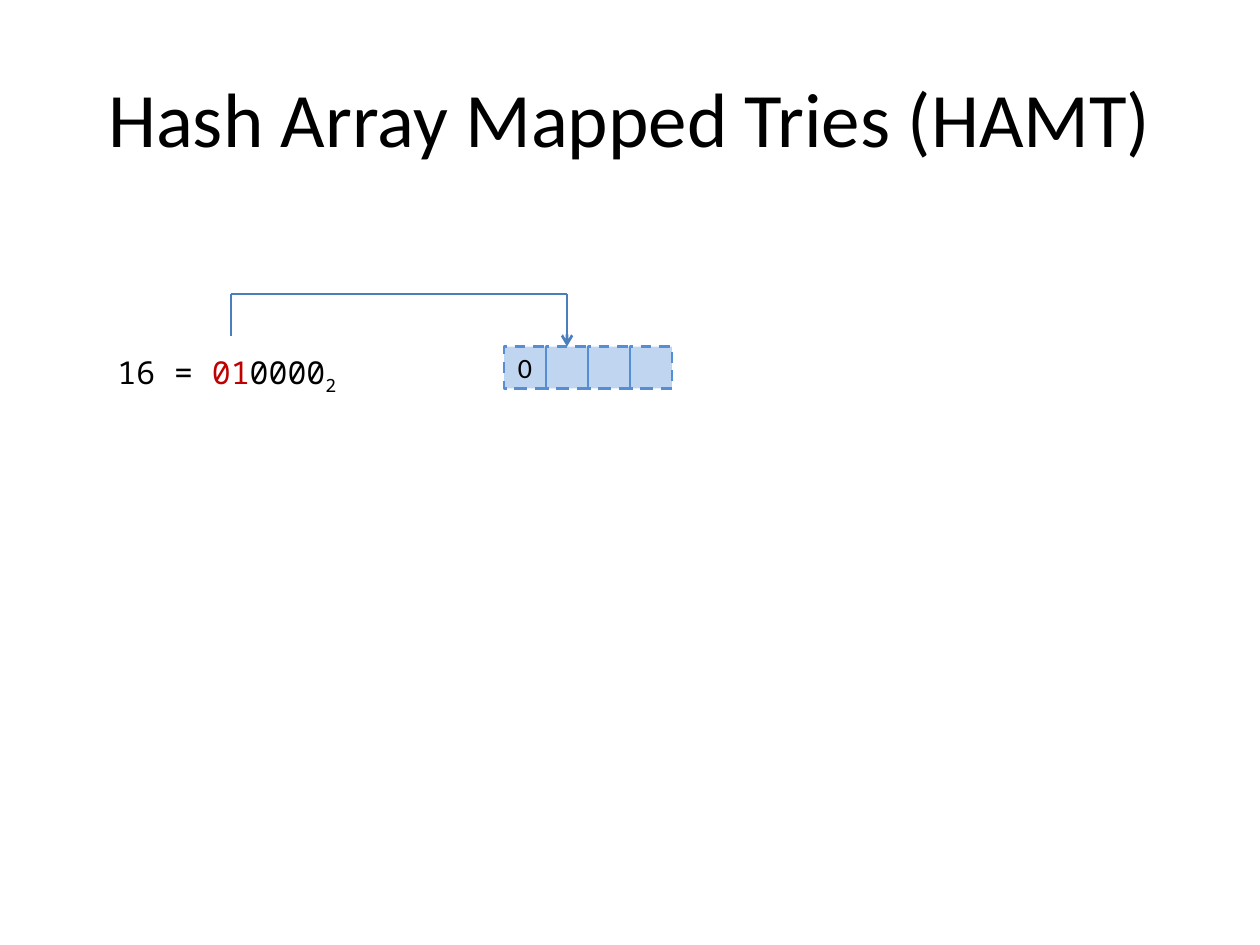
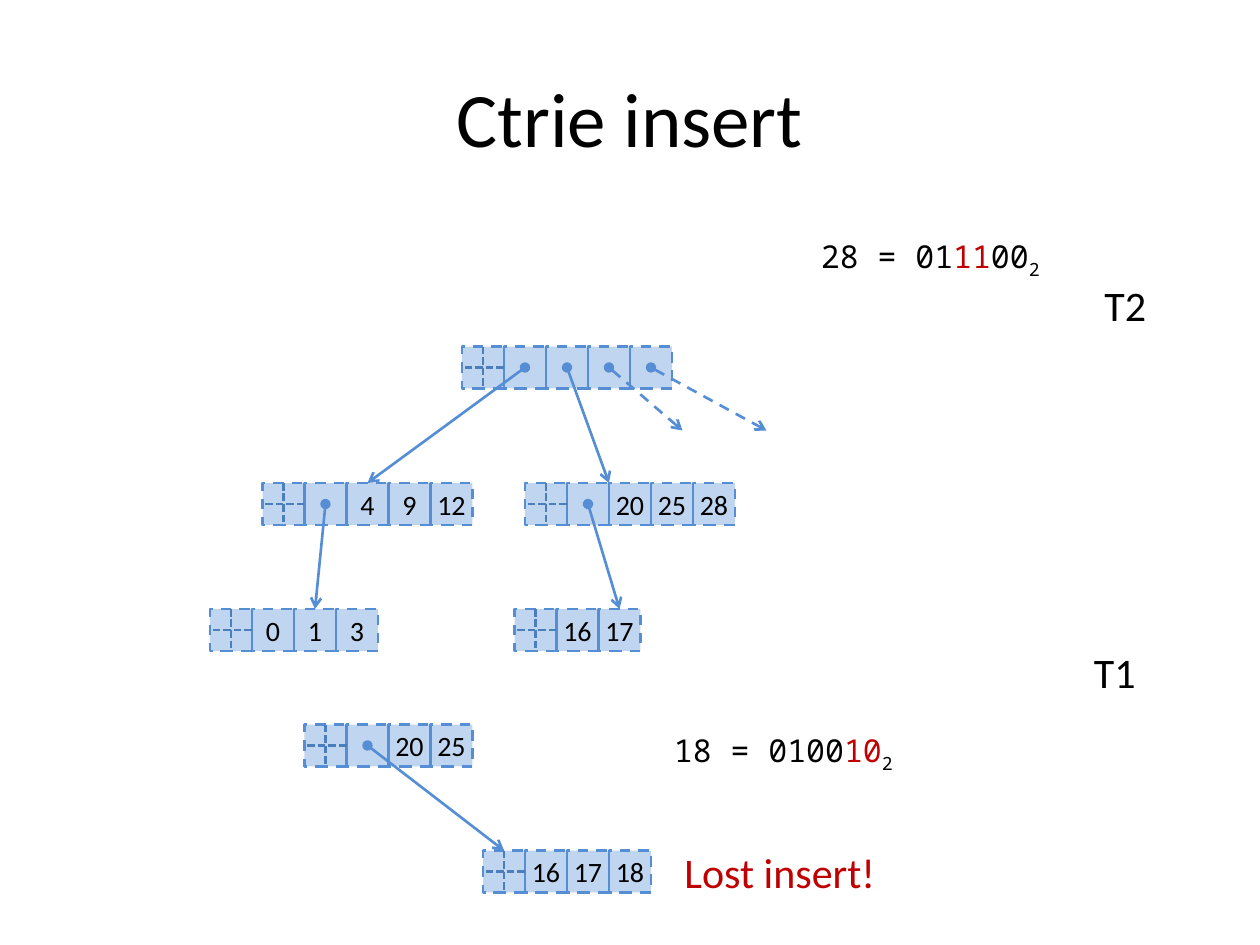
from dataclasses import dataclass
from itertools import pairwise

from lxml.etree import SubElement
from pptx import Presentation
from pptx.dml.color import RGBColor
from pptx.enum.dml import MSO_LINE
from pptx.enum.shapes import MSO_CONNECTOR, MSO_SHAPE
from pptx.enum.text import MSO_ANCHOR, MSO_AUTO_SIZE, PP_ALIGN
from pptx.oxml.ns import qn
from pptx.util import Cm, Pt


@dataclass(frozen=True)
class Theme:
    ink: RGBColor = RGBColor.from_string("000000")
    accent: RGBColor = RGBColor.from_string("C00000")
    cell: RGBColor = RGBColor.from_string("558ED5")
    guide: RGBColor = RGBColor.from_string("4B7EBC")
    cell_alpha: int = 37000
    subscript: int = -25000
    body_font: str = "Calibri"
    code_font: str = "Noto Sans Mono"
    title_size: Pt = Pt(44)
    note_size: Pt = Pt(24)
    code_size: Pt = Pt(18)
    cell_size: Pt = Pt(16)
    stroke: Pt = Pt(1.5)


THEME = Theme()
CELL = Cm(2.54) / 3  # side of one trie cell; every place below counts in cells
TITLE_BOX = (1.5, 0.9, 27, 3.75)

# Nodes: (left, top, flag cell first?, cell labels)
# Codes: (left, top, width, before, highlighted, after), all in base 2
# Pointers: (node, cell, target node, cells from its left edge)
# Open pointers: (node, cell, end point)
SLIDES = [
    {
        "title": "Hash Array Mapped Tries (HAMT)",
        "nodes": {"array": (12, 8.25, False, ["0", "", "", ""])},
        "codes": [(2.5, 8.25, 6.5, "16 = ", "01", "0000")],
        "lookup": [(5.5, 8), (5.5, 7), (13.5, 7), (13.5, 8.25)],
    },
    {
        "title": "Ctrie insert",
        "nodes": {
            "root": (11, 8.25, True, ["", "", "", ""]),
            "left": (6.25, 11.5, True, ["", "4", "9", "12"]),
            "right": (12.5, 11.5, True, ["", "20", "25", "28"]),
            "left leaf": (5, 14.5, True, ["0", "1", "3"]),
            "right leaf": (12.25, 14.5, True, ["16", "17"]),
            "stale": (7.25, 17.25, True, ["", "20", "25"]),
            "stale leaf": (11.5, 20.25, True, ["16", "17", "18"]),
        },
        "pointers": [
            ("root", 1, "left", 2.5),
            ("root", 2, "right", 2),
            ("left", 1, "left leaf", 2.5),
            ("right", 1, "right leaf", 2.5),
            ("stale", 1, "stale leaf", 0.5),
        ],
        "open_pointers": [("root", 3, (16.25, 10.25)), ("root", 4, (18.25, 10.25))],
        "codes": [
            (15.75, 17.25, 7, "18 = 0100", "10", ""),
            (19.25, 5.5, 7, "28 = 01", "11", "00"),
        ],
        "notes": [
            (25.75, 15.25, 1.62, "T1", THEME.ink),
            (26, 6.5, 1.62, "T2", THEME.ink),
            (16, 20, 5.2, "Lost insert!", THEME.accent),
        ],
    },
]


def cells(*counts):
    return [round(count * CELL) for count in counts]


def style_run(run, size, color=THEME.ink, font=THEME.body_font):
    run.font.size, run.font.name = size, font
    run.font.color.rgb = color


def add_text(slide, box, text, size, color=THEME.ink):
    frame = slide.shapes.add_textbox(*cells(*box)).text_frame
    frame.text = text
    style_run(frame.paragraphs[0].runs[0], size, color)
    return frame


def add_title(slide, title):
    frame = add_text(slide, TITLE_BOX, title, THEME.title_size)
    frame.word_wrap = True
    frame.vertical_anchor = MSO_ANCHOR.MIDDLE
    frame.paragraphs[0].alignment = PP_ALIGN.CENTER


def add_note(slide, left, top, width, text, color):
    frame = add_text(slide, (left, top, width, 1.52), text, THEME.note_size, color)
    frame.word_wrap = False
    frame.auto_size = MSO_AUTO_SIZE.SHAPE_TO_FIT_TEXT


def add_code(slide, left, top, width, before, highlighted, after):
    frame = slide.shapes.add_textbox(*cells(left, top, width, 1.2)).text_frame
    frame.word_wrap = True
    frame.auto_size = MSO_AUTO_SIZE.SHAPE_TO_FIT_TEXT
    line = frame.paragraphs[0]
    parts = [(before, THEME.ink), (highlighted, THEME.accent), (after, THEME.ink), ("2", THEME.ink)]
    for text, color in parts:
        if text:
            run = line.add_run()
            run.text = text
            style_run(run, THEME.code_size, color, THEME.code_font)
    base = line.runs[-1]
    base._r.get_or_add_rPr().set("baseline", str(THEME.subscript))


def add_line(slide, start, end, color, dash=None, head=None, tail=None):
    connector = slide.shapes.add_connector(MSO_CONNECTOR.STRAIGHT, *cells(*start, *end))
    connector.line.color.rgb = color
    connector.line.width = THEME.stroke
    if dash:
        connector.line.dash_style = dash
    properties = connector._element.spPr
    outline = properties.find(qn("a:ln"))
    for tag, kind in (("a:headEnd", head), ("a:tailEnd", tail)):
        if kind:
            SubElement(outline, qn(tag), type=kind)
    SubElement(properties, qn("a:effectLst"))


def add_cell(slide, left, top, label):
    square = slide.shapes.add_shape(MSO_SHAPE.RECTANGLE, *cells(left, top, 1, 1))
    square.shadow.inherit = False
    square.fill.solid()
    square.fill.fore_color.rgb = THEME.cell
    tint = square._element.spPr.find(qn("a:solidFill")).find(qn("a:srgbClr"))
    SubElement(tint, qn("a:alpha"), val=str(THEME.cell_alpha))
    square.line.color.rgb = THEME.cell
    square.line.width = THEME.stroke
    square.line.dash_style = MSO_LINE.DASH
    if label:
        frame = square.text_frame
        frame.text = label
        frame.word_wrap = False
        frame.vertical_anchor = MSO_ANCHOR.MIDDLE
        frame.paragraphs[0].alignment = PP_ALIGN.CENTER
        style_run(frame.paragraphs[0].runs[0], THEME.cell_size)


def add_node(slide, left, top, flagged, labels):
    """Draw a row of cells; the flag cell in front is split in four."""
    for index, label in enumerate([""] * flagged + labels):
        add_cell(slide, left + index, top, label)
    if flagged:
        for start, end in (((0.5, 0), (0.5, 1)), ((1, 0.5), (0, 0.5))):
            add_line(slide, (left + start[0], top + start[1]), (left + end[0], top + end[1]),
                     THEME.guide, MSO_LINE.SQUARE_DOT)


def add_pointer(slide, node, index, end, dash=None):
    left, top = node[:2]
    add_line(slide, (left + index + 0.5, top + 0.5), end, THEME.cell, dash, "oval", "arrow")


def add_lookup(slide, corners):
    """Join the corners by lines, with an arrowhead on the last."""
    for start, end in pairwise(corners):
        add_line(slide, start, end, THEME.guide, tail="arrow" if end == corners[-1] else None)


def build_slide(deck, content):
    slide = deck.slides.add_slide(deck.slide_layouts[6])
    nodes = content["nodes"]
    add_title(slide, content["title"])
    for node in nodes.values():
        add_node(slide, *node)
    for source, index, target, offset in content.get("pointers", []):
        left, top = nodes[target][:2]
        add_pointer(slide, nodes[source], index, (left + offset, top))
    for source, index, end in content.get("open_pointers", []):
        add_pointer(slide, nodes[source], index, end, MSO_LINE.DASH)
    for code in content["codes"]:
        add_code(slide, *code)
    for note in content.get("notes", []):
        add_note(slide, *note)
    add_lookup(slide, content.get("lookup", []))


def main():
    deck = Presentation()
    deck.slide_width, deck.slide_height = Cm(25.4), Cm(19.05)
    for content in SLIDES:
        build_slide(deck, content)
    deck.save("out.pptx")


if __name__ == "__main__":
    main()
